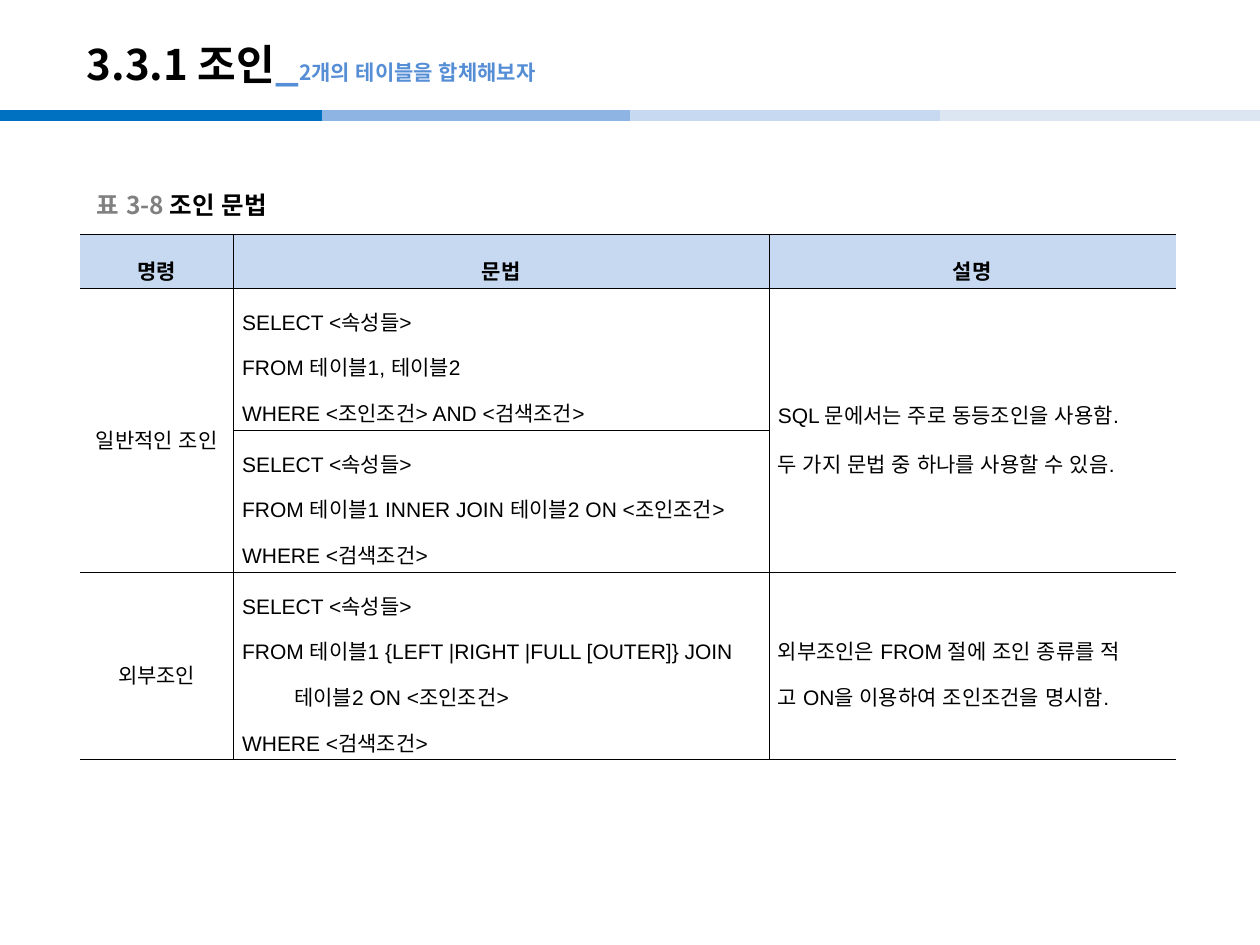
from lxml import etree
from pptx import Presentation
from pptx.dml.color import RGBColor
from pptx.enum.lang import MSO_LANGUAGE_ID
from pptx.enum.shapes import MSO_CONNECTOR
from pptx.enum.text import MSO_ANCHOR, PP_ALIGN
from pptx.oxml.ns import qn
from pptx.util import Cm, Pt

STRAIGHT = MSO_CONNECTOR.STRAIGHT
MIDDLE = MSO_ANCHOR.MIDDLE
LEFT, CENTER, JUSTIFY = PP_ALIGN.LEFT, PP_ALIGN.CENTER, PP_ALIGN.JUSTIFY
LANGUAGE = MSO_LANGUAGE_ID.KOREAN
KOREAN = "Noto Sans CJK KR"


def color(value):
    return RGBColor.from_string(value)


def style(span, size, value, bold, name):
    span.font.size = Pt(size)
    span.font.bold = bold
    span.font.name = name
    span.font.color.rgb = color(value)
    span.font.language_id = LANGUAGE
    east_asian = etree.SubElement(span.font._element, qn("a:ea"))
    east_asian.set("typeface", KOREAN)


deck = Presentation()
deck.slide_width, deck.slide_height = Cm(25.4), Cm(19.05)
page = deck.slides.add_slide(deck.slide_layouts[6])

bars = [(0, "0070C0"), (6.5, "8EB4E3"), (12.7, "C6D9F1"), (18.95, "DCE6F2")]
for start, value in bars:
    bar = page.shapes.add_connector(STRAIGHT, Cm(start), Cm(2.33), Cm(start + 6.5), Cm(2.33))
    bar.line.color.rgb = color(value)
    bar.line.width = Pt(6)
    etree.SubElement(bar._element.spPr, qn("a:effectLst"))

headings = [
    ((1.5, 0.52, 21, 1.52), True,
     [("3.3.1 조인", 24, "000000"), ("_", 24, "558ED5"), ("2개의 테이블을 합체해보자", 12, "558ED5")]),
    ((1.7, 3.73, 5.3, 0.78), False,
     [("표 3-8 ", 14, "808080"), ("조인 문법", 14, "000000")]),
]
for place, wrap, pieces in headings:
    box = page.shapes.add_textbox(*[Cm(length) for length in place])
    box.text_frame.word_wrap = wrap
    box.text_frame.vertical_anchor = MIDDLE
    for text, size, value in pieces:
        span = box.text_frame.paragraphs[0].add_run()
        span.text = text
        style(span, size, value, True, KOREAN)

widths = [3.08, 10.8, 8.2]
heights = [1.09, 2.86, 2.86, 3.77]
frame = page.shapes.add_table(4, 3, Cm(1.62), Cm(4.72), Cm(sum(widths)), Cm(sum(heights)))
table = frame.table
for column, width in zip(table.columns, widths):
    column.width = Cm(width)
for row, height in zip(table.rows, heights):
    row.height = Cm(height)
for column in (0, 2):
    table.cell(1, column).merge(table.cell(2, column))

contents = [
    [("명령", CENTER, 1.6), ("문법", CENTER, 1.6), ("설명", CENTER, 1.6)],
    [("일반적인 조인", CENTER, 1.6),
     ("SELECT <속성들>\nFROM 테이블1, 테이블2\nWHERE <조인조건> AND <검색조건>", LEFT, 1.5),
     ("SQL 문에서는 주로 동등조인을 사용함.\n두 가지 문법 중 하나를 사용할 수 있음.", JUSTIFY, 1.6)],
    [None,
     ("SELECT <속성들>\nFROM 테이블1 INNER JOIN 테이블2 ON <조인조건>\nWHERE <검색조건>", LEFT, 1.5),
     None],
    [("외부조인", CENTER, 1.6),
     ("SELECT <속성들>\nFROM 테이블1 {LEFT |RIGHT |FULL [OUTER]} JOIN\n"
      "테이블2 ON <조인조건>\nWHERE <검색조건>", LEFT, 1.5),
     ("외부조인은 FROM 절에 조인 종류를 적\n고 ON을 이용하여 조인조건을 명시함.", LEFT, 1.5)],
]
for row, entries in enumerate(contents):
    for column, entry in enumerate(entries):
        cell = table.cell(row, column)
        properties = cell._tc.get_or_add_tcPr()
        for side in "LRTB":
            border = etree.SubElement(properties, qn("a:ln" + side), w=str(Pt(0.28)))
            if (side, column) in (("L", 0), ("R", 2)):
                etree.SubElement(border, qn("a:noFill"))
            else:
                fill = etree.SubElement(border, qn("a:solidFill"))
                etree.SubElement(fill, qn("a:srgbClr"), val="000000")
        if row == 0:
            cell.fill.solid()
            cell.fill.fore_color.rgb = color("C6D9F1")
        else:
            cell.fill.background()
        if entry is None:
            continue
        text, alignment, spacing = entry
        cell.vertical_anchor = MIDDLE
        cell.margin_left = cell.margin_right = Cm(0.18)
        cell.margin_top = cell.margin_bottom = Cm(0.05)
        cell.text_frame.text = text
        for para in cell.text_frame.paragraphs:
            para.alignment = alignment
            para.line_spacing = spacing
            if para.text.startswith("테이블2"):
                para._p.get_or_add_pPr().set("marL", str(Cm(1.05)))
            style(para.runs[0], 12, "000000", row == 0, "Arial")

deck.save("out.pptx")
